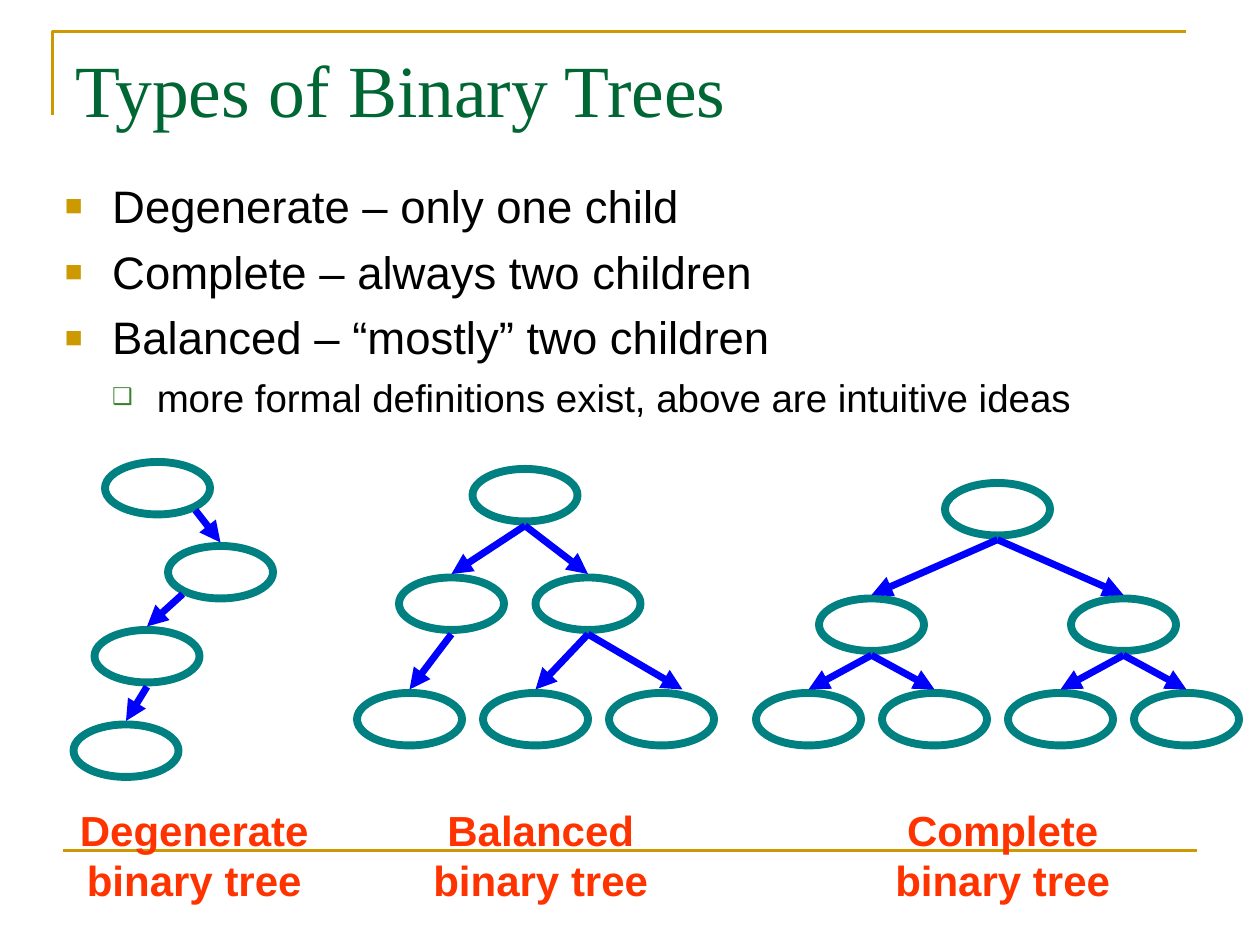
from lxml import etree
from pptx import Presentation
from pptx.dml.color import RGBColor
from pptx.enum.shapes import MSO_CONNECTOR, MSO_SHAPE
from pptx.enum.text import MSO_ANCHOR, PP_ALIGN
from pptx.oxml.ns import qn
from pptx.util import Pt

GOLD = RGBColor(0xCC, 0x99, 0x00)
TITLE_GREEN = RGBColor(0x00, 0x66, 0x33)
BULLET_GREEN = RGBColor(0x3B, 0x81, 0x2F)
TEAL = RGBColor(0x00, 0x80, 0x80)
BLUE = RGBColor(0x00, 0x00, 0xFF)
ORANGE = RGBColor(0xFF, 0x33, 0x00)
BLACK = RGBColor(0x00, 0x00, 0x00)

STRAIGHT = MSO_CONNECTOR.STRAIGHT
OVAL = MSO_SHAPE.OVAL
TOP = MSO_ANCHOR.TOP
LEFT, CENTER = PP_ALIGN.LEFT, PP_ALIGN.CENTER

TITLE_ONLY_LAYOUT = 5
NODE_WIDTH, NODE_HEIGHT = 60, 30
BOTTOM_START = (0, 32.4)
RIGHT_START = (21.6, 27.5)
LEFT_START = (-21.6, 27.5)
ARROW_GAP = 2

BULLETS = [
    (0, "Degenerate – only one child"),
    (0, "Complete – always two children"),
    (0, "Balanced – “mostly” two children"),
    (1, "more formal definitions exist, above are intuitive ideas"),
]
# Per level: text size, left margin, hanging indent, space before, bullet, colour, size %
LEVELS = [
    (26, 27, 27, 6.5, "■", GOLD, 65),
    (22, 52.5, 25.5, 5.5, "❑", BULLET_GREEN, 60),
]

# Nodes are (left, top) within the tree.
# Edges are (parent, child, start offset from the parent's top centre, shift of the arrow tip).
DEGENERATE_NODES = [(18, 0), (54, 48), (12, 96), (0, 150)]
DEGENERATE_EDGES = [(0, 1, RIGHT_START, 0), (1, 2, LEFT_START, 0), (2, 3, BOTTOM_START, 0)]
BALANCED_NODES = [(66, 0), (24, 62), (102, 62), (0, 128), (72, 128), (144, 128)]
BALANCED_EDGES = [(parent, child, BOTTOM_START, shift) for parent, child, shift in
                  [(0, 1, 0), (0, 2, 0), (1, 3, 0), (2, 4, 0), (2, 5, 12)]]
COMPLETE_NODES = [(108, 0), (36, 66), (180, 66)] + [(72 * column, 120) for column in range(4)]
COMPLETE_EDGES = [((child - 1) // 2, child, BOTTOM_START, 0) for child in range(1, 7)]


def add_line(slide, start, end, color, width):
    line = slide.shapes.add_connector(STRAIGHT, *(Pt(value) for value in (*start, *end)))
    line.line.color.rgb = color
    line.line.width = Pt(width)
    etree.SubElement(line._element.spPr, qn("a:effectLst"))
    return line


def add_arrow(slide, start, end):
    arrow = add_line(slide, start, end, BLUE, 4)
    etree.SubElement(arrow.line._get_or_add_ln(), qn("a:tailEnd"), type="triangle")


def add_frame(slide, left, top, width, height):
    """Draw the open corner round the title."""
    builder = slide.shapes.build_freeform(Pt(left), Pt(top + height))
    builder.add_line_segments([(Pt(left), Pt(top)), (Pt(left + width), Pt(top))], close=False)
    corner = builder.convert_to_shape()
    corner.shadow.inherit = False
    corner.fill.background()
    corner.line.color.rgb = GOLD
    corner.line.width = Pt(1.5)


def format_title(slide, left, top, width, height):
    title = slide.shapes.title
    title.left, title.top, title.width, title.height = map(Pt, (left, top, width, height))
    title.text_frame.text = "Types of Binary Trees"
    title.text_frame.vertical_anchor = TOP
    paragraph = title.text_frame.paragraphs[0]
    paragraph.alignment = LEFT
    font = paragraph.runs[0].font
    font.name, font.size = "Times New Roman", Pt(42)
    font.color.rgb = TITLE_GREEN


def add_bullet(paragraph, level):
    _, margin, hanging, _, character, color, percent = LEVELS[level]
    properties = paragraph._p.get_or_add_pPr()
    properties.set("marL", str(Pt(margin)))
    properties.set("indent", str(-Pt(hanging)))
    bullet_color = etree.SubElement(properties, qn("a:buClr"))
    etree.SubElement(bullet_color, qn("a:srgbClr"), val=str(color))
    etree.SubElement(properties, qn("a:buSzPct"), val=str(percent * 1000))
    etree.SubElement(properties, qn("a:buFont"), typeface="Arial")
    etree.SubElement(properties, qn("a:buChar"), char=character)


def add_text_box(slide, left, top, width, height):
    frame = slide.shapes.add_textbox(*map(Pt, (left, top, width, height))).text_frame
    frame.word_wrap = True
    return frame


def add_bullet_list(slide, left, top, width, height):
    frame = add_text_box(slide, left, top, width, height)
    for index, (level, text) in enumerate(BULLETS):
        paragraph = frame.add_paragraph() if index else frame.paragraphs[0]
        paragraph.text = text
        paragraph.level = level
        size, space_before = LEVELS[level][0], LEVELS[level][3]
        if index:
            paragraph.space_before = Pt(space_before)
        add_bullet(paragraph, level)
        font = paragraph.runs[0].font
        font.name, font.size = "Arial", Pt(size)
        font.color.rgb = BLACK


def add_tree(slide, left, top, nodes, edges):
    places = [(left + x, top + y) for x, y in nodes]
    for x, y in places:
        node = slide.shapes.add_shape(OVAL, Pt(x), Pt(y), Pt(NODE_WIDTH), Pt(NODE_HEIGHT))
        node.shadow.inherit = False
        node.fill.background()
        node.line.color.rgb = TEAL
        node.line.width = Pt(4.5)
    for parent, child, (start_x, start_y), tip_shift in edges:
        parent_x, parent_y = places[parent]
        child_x, child_y = places[child]
        middle = NODE_WIDTH / 2
        add_arrow(slide, (parent_x + middle + start_x, parent_y + start_y),
                  (child_x + middle + tip_shift, child_y - ARROW_GAP))


def add_label(slide, left, top, width, height, text):
    frame = add_text_box(slide, left, top, width, height)
    frame.text = text
    paragraph = frame.paragraphs[0]
    paragraph.alignment = CENTER
    font = paragraph.runs[0].font
    font.name, font.size, font.bold = "Arial", Pt(24), True
    font.color.rgb = ORANGE


def main():
    presentation = Presentation()
    presentation.slide_width, presentation.slide_height = Pt(720), Pt(540)
    slide = presentation.slides.add_slide(presentation.slide_layouts[TITLE_ONLY_LAYOUT])
    add_frame(slide, 30, 18, 648, 48)
    add_line(slide, (36, 486), (684, 486), GOLD, 1.5)
    format_title(slide, 36, 21.6, 648, 90)
    add_bullet_list(slide, 30, 98, 660, 354)
    add_tree(slide, 42, 264, DEGENERATE_NODES, DEGENERATE_EDGES)
    add_tree(slide, 204, 268, BALANCED_NODES, BALANCED_EDGES)
    add_tree(slide, 432, 276, COMPLETE_NODES, COMPLETE_EDGES)
    for left, kind in [(36, "Degenerate"), (234, "Balanced"), (498, "Complete")]:
        add_label(slide, left, 456, 150, 65, f"{kind} binary tree")
    presentation.save("out.pptx")


if __name__ == "__main__":
    main()
